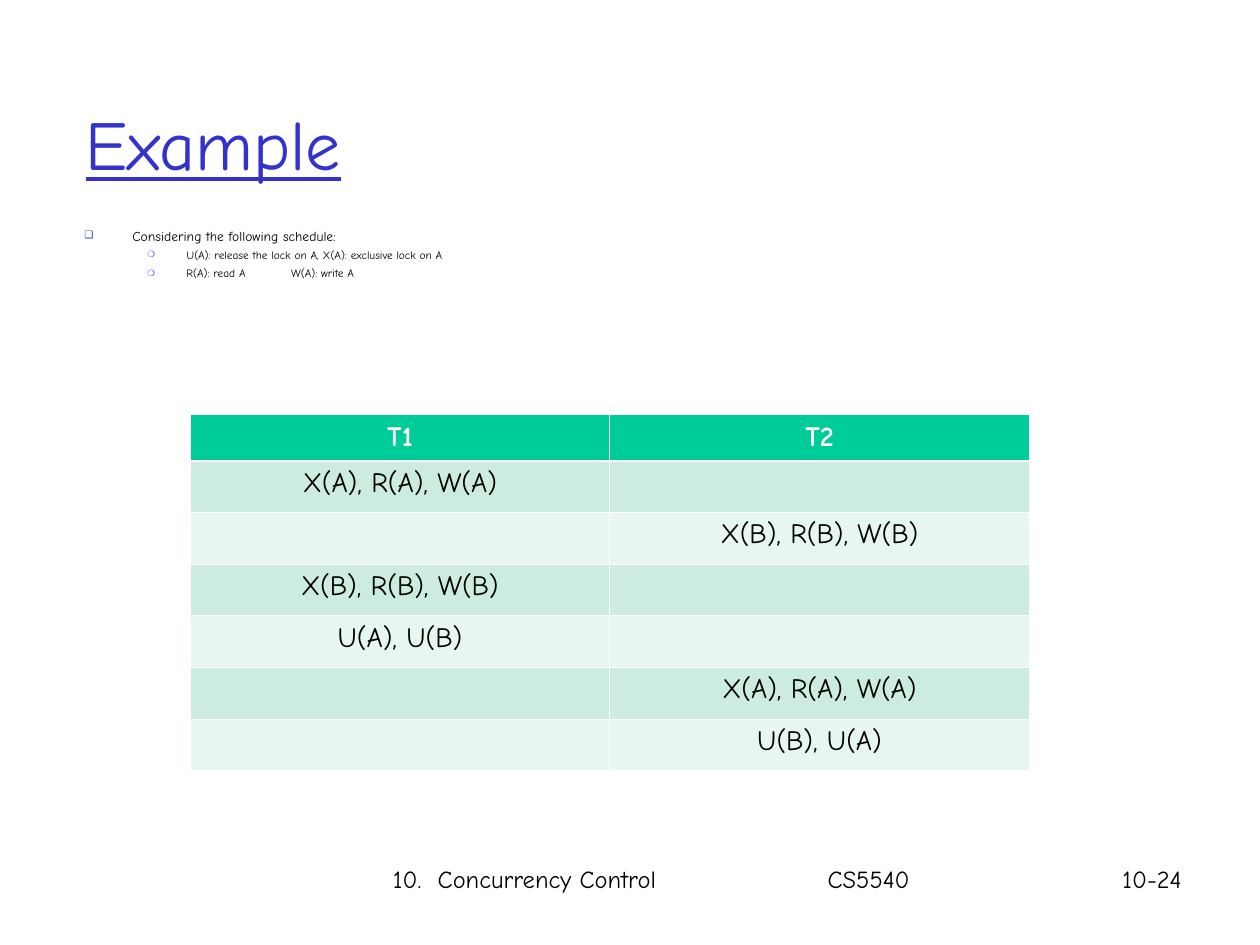
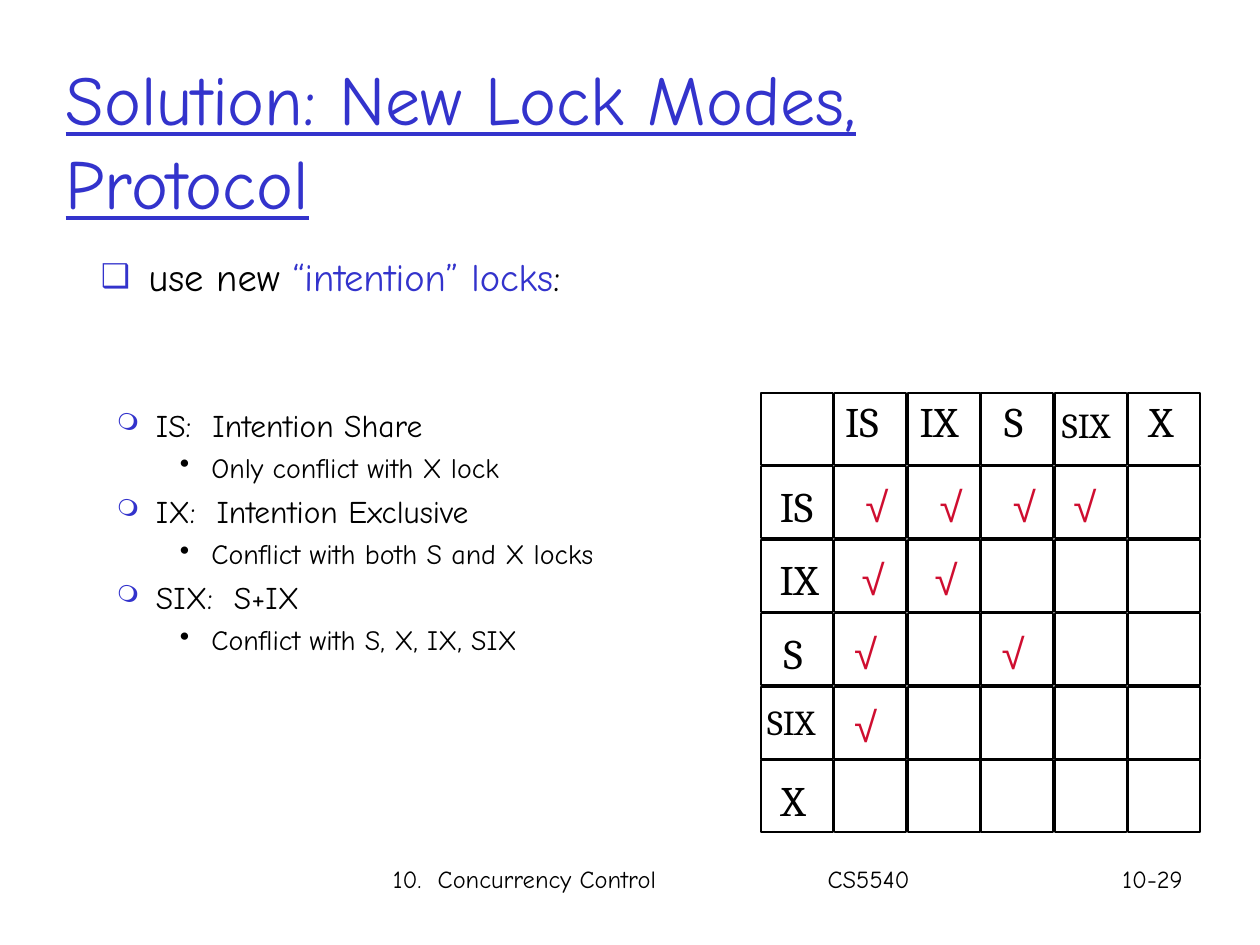
from lxml import etree
from pptx import Presentation
from pptx.dml.color import RGBColor
from pptx.enum.shapes import MSO_SHAPE
from pptx.enum.text import MSO_ANCHOR, MSO_AUTO_SIZE, PP_ALIGN
from pptx.oxml.ns import qn
from pptx.util import Inches, Pt

RECT = MSO_SHAPE.RECTANGLE
TOP, MIDDLE = MSO_ANCHOR.TOP, MSO_ANCHOR.MIDDLE
FIXED = MSO_AUTO_SIZE.NONE
LEFT, CENTER = PP_ALIGN.LEFT, PP_ALIGN.CENTER

BLUE = RGBColor(0x33, 0x33, 0xCC)
BLACK = RGBColor(0, 0, 0)
WHITE = RGBColor(255, 255, 255)
RED = RGBColor(0xCF, 0x0E, 0x30)
GREEN = RGBColor(0, 0xCC, 0x99)
BANDS = RGBColor(0xCB, 0xEC, 0xDE), RGBColor(0xE7, 0xF6, 0xEF)
FONT, SERIF, SANS = "Comic Neue", "Cambria", "Arial"

FOOTER = "10.  Concurrency Control\tCS5540"
FOOT_TAB = 3.45

SQUARE = dict(level=0, char="❑", color=BLUE, left=0.38, hang=0.38)
RING = dict(level=1, char="❍", color=BLUE, left=0.81, hang=0.31, scale=75)
DOT = dict(level=2, char="•", color=BLACK, left=1.25, hang=0.25, scale=100)

HEAD = dict(SQUARE, scale=75, size=7.8, before=6, line=0.7)
NOTE = dict(RING, size=6.5, before=5, line=0.7, tab=1.64)
LEAD = dict(SQUARE, scale=85, size=22, before=5.5)
MODE = dict(RING, size=18, before=4.5)
RULE = dict(DOT, size=16, before=4)

INTRO = [
    (HEAD, [("Considering the following schedule:", BLACK)]),
    (NOTE, [("U(A): release the lock on A, X(A): exclusive lock on A", BLACK)]),
    (NOTE, [("R(A): read A\tW(A): write A", BLACK)]),
]
SCHEDULE = [
    ("T1", "T2"),
    ("X(A), R(A), W(A)", ""),
    ("", "X(B), R(B), W(B)"),
    ("X(B), R(B), W(B)", ""),
    ("U(A), U(B)", ""),
    ("", "X(A), R(A), W(A)"),
    ("", "U(B), U(A)"),
]
LOCKS = [(LEAD, [("use new ", BLACK), ("“intention” locks", BLUE), (":", BLACK)])]
MODES = [
    (MODE, [("IS:  Intention Share", BLACK)]),
    (RULE, [("Only conflict with X lock", BLACK)]),
    (MODE, [("IX:  Intention Exclusive", BLACK)]),
    (RULE, [("Conflict with both S and X locks", BLACK)]),
    (MODE, [("SIX:  S+IX", BLACK)]),
    (RULE, [("Conflict with S, X, IX, SIX", BLACK)]),
]

GRID_X, GRID_Y, STEP, CELL, COUNT = 6.04, 3.12, 0.583, 0.57, 6
WIDTHS = {"IS": 0.51, "IX": 0.54, "S": 0.38, "SIX": 0.64, "X": 0.42, "√": 0.38}
MATRIX = [
    [("IS", 6.61), ("IX", 7.2), ("S", 7.87), ("SIX", 8.33), ("X", 9.02)],
    [("IS", 6.09), ("√", 6.77), ("√", 7.36), ("√", 7.94), ("√", 8.42)],
    [("IX", 6.09), ("√", 6.74), ("√", 7.32)],
    [("S", 6.12), ("√", 6.68), ("√", 7.85)],
    [("SIX", 5.99), ("√", 6.68)],
    [("X", 6.1)],
]


def style(para, size, color=BLACK, name=FONT):
    font = para.font
    font.size, font.name = Pt(size), name
    font.color.rgb = color


def add_tab(para, pos):
    tabs = etree.SubElement(para._p.get_or_add_pPr(), qn("a:tabLst"))
    etree.SubElement(tabs, qn("a:tab"), pos=str(Inches(pos)), algn="l")


def add_bullet(para, look):
    props = para._p.get_or_add_pPr()
    props.set("marL", str(Inches(look["left"])))
    props.set("indent", str(-Inches(look["hang"])))
    tint = etree.SubElement(props, qn("a:buClr"))
    etree.SubElement(tint, qn("a:srgbClr"), val=str(look["color"]))
    etree.SubElement(props, qn("a:buSzPct"), val=str(look["scale"] * 1000))
    etree.SubElement(props, qn("a:buChar"), char=look["char"])


def place(shape, box):
    shape.left, shape.top, shape.width, shape.height = map(Inches, box)


def add_box(slide, box, wrap=True):
    frame = slide.shapes.add_textbox(*map(Inches, box)).text_frame
    frame.word_wrap = wrap
    return frame


def add_line(slide, box, text, tab=None):
    para = add_box(slide, box).paragraphs[0]
    para.text = text
    if tab:
        add_tab(para, tab)
    style(para, 14)


def fill_list(frame, items):
    frame.auto_size, frame.vertical_anchor = FIXED, TOP
    for num, (look, runs) in enumerate(items):
        para = frame.add_paragraph() if num else frame.paragraphs[0]
        para.level = look["level"]
        add_bullet(para, look)
        if "tab" in look:
            add_tab(para, look["tab"])
        para.alignment = LEFT
        para.line_spacing = look.get("line", 1.0)
        para.space_before = Pt(look["before"])
        style(para, look["size"])
        for text, color in runs:
            run = para.add_run()
            run.text = text
            run.font.color.rgb = color


def add_page(deck, title, title_box, items, body_box, number):
    slide = deck.slides.add_slide(deck.slide_layouts[1])
    head, body = slide.placeholders
    place(head, title_box)
    frame = head.text_frame
    frame.auto_size, frame.vertical_anchor = FIXED, MIDDLE
    frame.text = title
    para = frame.paragraphs[0]
    para.alignment = LEFT
    style(para, 40, BLUE)
    para.font.underline = True
    place(body, body_box)
    fill_list(body.text_frame, items)
    add_line(slide, (3.02, 6.81, 5.68, 0.5), FOOTER, FOOT_TAB)
    add_line(slide, (8.81, 6.81, 0.97, 0.34), number)
    return slide


def add_edges(cell, row):
    props = cell._tc.get_or_add_tcPr()
    thick = {"lnB": 0, "lnT": 1}
    for side in ("lnL", "lnR", "lnT", "lnB"):
        width = 1.47 if thick.get(side) == row else 0.45
        edge = etree.SubElement(props, qn("a:" + side), w=str(Pt(width)))
        fill = etree.SubElement(edge, qn("a:solidFill"))
        etree.SubElement(fill, qn("a:srgbClr"), val=str(WHITE))


def add_schedule(slide):
    box = map(Inches, (1.51, 3.29, 6.66, 2.82))
    table = slide.shapes.add_table(len(SCHEDULE), 2, *box).table
    for row, texts in enumerate(SCHEDULE):
        table.rows[row].height = Inches(0.41 if row else 0.36)
        for col, text in enumerate(texts):
            cell = table.cell(row, col)
            add_edges(cell, row)
            cell.fill.solid()
            cell.fill.fore_color.rgb = BANDS[(row - 1) % 2] if row else GREEN
            cell.text = text
            para = cell.text_frame.paragraphs[0]
            para.alignment = CENTER
            style(para, 16, BLACK if row else WHITE)
            para.font.bold = row == 0


def add_matrix(slide):
    for row in range(COUNT):
        for col in range(COUNT):
            spot = GRID_X + col * STEP, GRID_Y + row * STEP, CELL, CELL
            cell = slide.shapes.add_shape(RECT, *map(Inches, spot))
            cell.shadow.inherit = False
            cell.fill.background()
            cell.line.color.rgb = BLACK
            cell.line.width = Pt(1)
    for row, marks in enumerate(MATRIX):
        for text, left in marks:
            small, tick = text == "SIX", text == "√"
            top = GRID_Y + row * STEP + (0.06 if row else 0.03 if small else -0.03)
            box = left, top, WIDTHS[text], 0.43 if small else 0.5
            para = add_box(slide, box, False).paragraphs[0]
            para.text = text
            style(para, 20 if small else 24, RED if tick else BLACK, SANS if tick else SERIF)


def main():
    deck = Presentation()
    deck.slide_width, deck.slide_height = Inches(10), Inches(7.5)
    slide = add_page(deck, "Example", (0.58, 0.51, 8.5, 1.24),
                     INTRO, (0.57, 1.79, 8.53, 0.52), "10-24")
    add_schedule(slide)
    slide = add_page(deck, "Solution: New Lock Modes, Protocol", (0.42, 0.5, 8.5, 1.21),
                     LOCKS, (0.7, 1.96, 8.28, 1.35), "10-29")
    fill_list(add_box(slide, (0.33, 3.17, 6, 2.83)), MODES)
    add_matrix(slide)
    deck.save("out.pptx")


if __name__ == "__main__":
    main()
